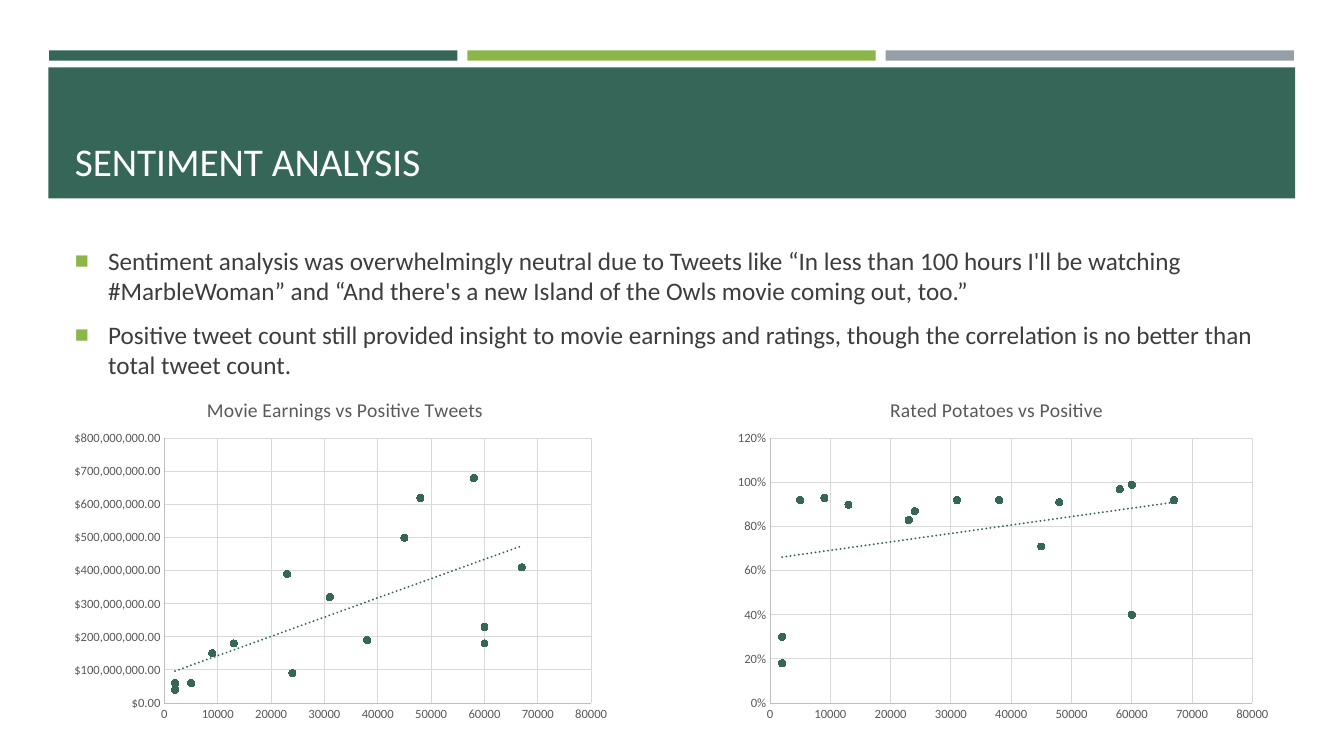
import pptx
import pptx.chart.data
import pptx.dml.color
import pptx.enum.chart
import pptx.enum.dml
import pptx.enum.shapes
import pptx.enum.text
import pptx.oxml
import pptx.oxml.ns
import pptx.util

Cm = pptx.util.Cm
Pt = pptx.util.Pt
RGBColor = pptx.dml.color.RGBColor
qn = pptx.oxml.ns.qn
nsdecls = pptx.oxml.ns.nsdecls

GREEN = RGBColor(0x36, 0x66, 0x58)
LIME = RGBColor(0x8C, 0xB6, 0x4A)
GRAY = RGBColor(0x96, 0x9F, 0xA7)
WHITE = RGBColor(0xFF, 0xFF, 0xFF)
BODY_TEXT = RGBColor(0x3D, 0x3D, 0x3D)
CHART_TEXT = RGBColor(0x59, 0x59, 0x59)
AXIS_LINE = RGBColor(0xBF, 0xBF, 0xBF)
GRID_LINE = RGBColor(0xD9, 0xD9, 0xD9)
FONT = "Calibri"

BULLETS = [
    "Sentiment analysis was overwhelmingly neutral due to Tweets like “In less than 100 hours "
    "I'll be watching #MarbleWoman” and “And there's a new Island of the Owls movie coming out, too.”",
    "Positive tweet count still provided insight to movie earnings and ratings, though the "
    "correlation is no better than total tweet count.",
]
POSITIVE_TWEETS = [60000, 58000, 67000, 48000, 38000, 60000, 45000, 24000,
                   31000, 23000, 13000, 9000, 5000, 2000, 2000]
EARNINGS_MILLIONS = [180, 680, 410, 620, 190, 230, 500, 90, 320, 390, 180, 150, 60, 60, 40]
RATINGS = [0.99, 0.97, 0.92, 0.91, 0.92, 0.4, 0.71, 0.87, 0.92, 0.83, 0.9, 0.93, 0.92, 0.18, 0.3]

CHARTS = [
    {"title": "Movie Earnings vs Positive Tweets", "title_x": 0.25, "left": 1.63,
     "values": [amount * 1_000_000 for amount in EARNINGS_MILLIONS],
     "maximum": 800_000_000, "step": 100_000_000, "number_format": '"$"#,##0.00',
     "plot": {"x": 0.18, "y": 0.18, "w": 0.77, "h": 0.75}},
    {"title": "Rated Potatoes vs Positive", "title_x": 0.29, "left": 18.29,
     "values": RATINGS, "maximum": 1.2, "step": 0.2, "number_format": "0%",
     "plot": {"x": 0.08, "y": 0.18, "w": 0.87, "h": 0.75}},
]


def apply_format(target, values):
    for name, value in values.items():
        setattr(target, name, value)


def format_font(font, size, color):
    apply_format(font, {"name": FONT, "size": Pt(size), "bold": False})
    font.color.rgb = color


def format_line(line, color):
    line.color.rgb = color
    line.width = Pt(0.75)


def place(shape, left, top, width, height):
    apply_format(shape, {"left": Cm(left), "top": Cm(top),
                         "width": Cm(width), "height": Cm(height)})


def add_bar(slide, left, top, width, height, color):
    shape = slide.shapes.add_shape(pptx.enum.shapes.MSO_SHAPE.RECTANGLE,
                                   Cm(left), Cm(top), Cm(width), Cm(height))
    shape.shadow.inherit = False
    shape.fill.solid()
    shape.fill.fore_color.rgb = color
    shape.line.fill.background()


def fill_title(slide, text):
    title = slide.shapes.title
    place(title, 1.63, 1.96, 30.63, 2.82)
    frame = title.text_frame
    frame.text = text
    apply_format(frame, {"vertical_anchor": pptx.enum.text.MSO_ANCHOR.BOTTOM,
                         "auto_size": pptx.enum.text.MSO_AUTO_SIZE.NONE})
    paragraph = frame.paragraphs[0]
    paragraph.alignment = pptx.enum.text.PP_ALIGN.LEFT
    format_font(paragraph.runs[0].font, 28, WHITE)
    slide.shapes._spTree.append(title._element)  # in front of the band


def add_square_bullet(paragraph):
    properties = paragraph._p.get_or_add_pPr()
    properties.set("marL", str(Cm(0.84)))
    properties.set("indent", str(-Cm(0.84)))
    for markup in (f'<a:buClr {nsdecls("a")}><a:srgbClr val="{LIME}"/></a:buClr>',
                   f'<a:buSzPct {nsdecls("a")} val="92000"/>',
                   f'<a:buChar {nsdecls("a")} char="■"/>'):
        properties.append(pptx.oxml.parse_xml(markup))


def fill_body(slide, texts):
    body = slide.placeholders[1]
    place(body, 1.63, 6.05, 30.63, 10.21)
    frame = body.text_frame
    frame.text = "\n".join(texts)
    apply_format(frame, {"vertical_anchor": pptx.enum.text.MSO_ANCHOR.TOP,
                         "auto_size": pptx.enum.text.MSO_AUTO_SIZE.NONE})
    for paragraph in frame.paragraphs:
        apply_format(paragraph, {"space_before": Pt(3.6), "space_after": Pt(6)})
        add_square_bullet(paragraph)
        format_font(paragraph.runs[0].font, 18, BODY_TEXT)


def set_layout(parent, position, index, inner=False):
    for layout in parent.findall(qn("c:layout")):
        parent.remove(layout)
    target = '<c:layoutTarget val="inner"/>' if inner else ""
    modes = "".join(f'<c:{key}Mode val="edge"/>' for key in ("x", "y"))
    sizes = "".join(f'<c:{key} val="{value}"/>' for key, value in position.items())
    parent.insert(index, pptx.oxml.parse_xml(
        f'<c:layout {nsdecls("c")}><c:manualLayout>{target}{modes}{sizes}'
        '</c:manualLayout></c:layout>'))


def add_trendline(series):
    trendline = pptx.oxml.parse_xml(
        f'<c:trendline {nsdecls("c", "a")}><c:spPr><a:ln w="{Pt(1.5)}" cap="rnd">'
        f'<a:solidFill><a:srgbClr val="{GREEN}"/></a:solidFill><a:prstDash val="sysDot"/>'
        '</a:ln></c:spPr><c:trendlineType val="linear"/><c:dispRSqr val="0"/>'
        '<c:dispEq val="0"/></c:trendline>')
    series._element.find(qn("c:xVal")).addprevious(trendline)


def format_axis(axis, maximum, step, number_format):
    no_tick = pptx.enum.chart.XL_TICK_MARK.NONE
    apply_format(axis, {"minimum_scale": 0, "maximum_scale": maximum, "major_unit": step,
                        "has_major_gridlines": True, "major_tick_mark": no_tick,
                        "minor_tick_mark": no_tick})
    apply_format(axis.tick_labels, {"number_format": number_format,
                                    "number_format_is_linked": False})
    format_font(axis.tick_labels.font, 9, CHART_TEXT)
    format_line(axis.format.line, AXIS_LINE)
    format_line(axis.major_gridlines.format.line, GRID_LINE)


def add_scatter(slide, content):
    data = pptx.chart.data.XyChartData()
    points = data.add_series("Series 1")
    for tweets, value in zip(POSITIVE_TWEETS, content["values"]):
        points.add_data_point(tweets, value)
    chart = slide.shapes.add_chart(
        pptx.enum.chart.XL_CHART_TYPE.XY_SCATTER,
        Cm(content["left"]), Cm(9.45), Cm(13.97), Cm(8.89), data).chart
    format_font(chart.font, 10, CHART_TEXT)
    chart.has_legend = False

    # Title and plot area
    chart.has_title = True
    chart.chart_title.text_frame.text = content["title"]
    format_font(chart.chart_title.text_frame.paragraphs[0].runs[0].font, 14, CHART_TEXT)
    set_layout(chart.chart_title._element, {"x": content["title_x"], "y": 0.05}, 1)
    set_layout(chart._chartSpace.chart.plotArea, content["plot"], 0, inner=True)

    # Axes
    format_axis(chart.category_axis, 80000, 10000, "General")
    format_axis(chart.value_axis, content["maximum"], content["step"], content["number_format"])

    # Points and trend
    plot = chart.plots[0]
    plot.vary_by_categories = False
    series = plot.series[0]
    series.format.line.fill.background()
    apply_format(series.marker, {"style": pptx.enum.chart.XL_MARKER_STYLE.CIRCLE, "size": 5})
    series.marker.format.fill.solid()
    series.marker.format.fill.fore_color.rgb = GREEN
    series.marker.format.line.color.rgb = GREEN
    add_trendline(series)


def main():
    presentation = pptx.Presentation()
    apply_format(presentation, {"slide_width": Cm(33.87), "slide_height": Cm(19.05)})
    slide = presentation.slides.add_slide(presentation.slide_layouts[1])

    # Header bars and title band
    for column, color in enumerate((GREEN, LIME, GRAY)):
        add_bar(slide, 1.24 + 10.54 * column, 1.27, 10.29, 0.26, color)
    add_bar(slide, 1.22, 1.7, 31.42, 3.3, GREEN)

    # Text
    fill_title(slide, "SENTIMENT ANALYSIS")
    fill_body(slide, BULLETS)

    # Charts
    for content in CHARTS:
        add_scatter(slide, content)

    presentation.save("out.pptx")


if __name__ == "__main__":
    main()
